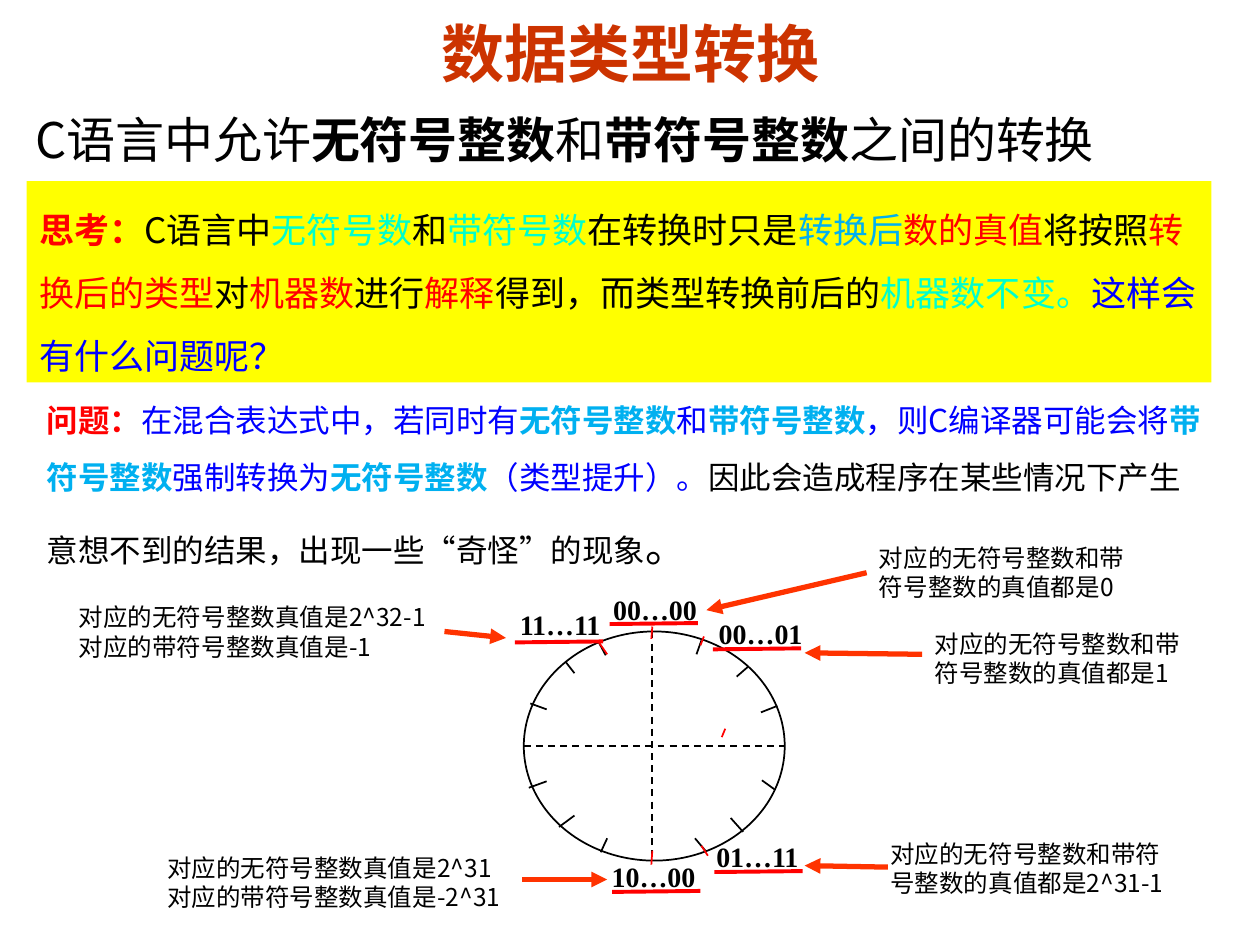
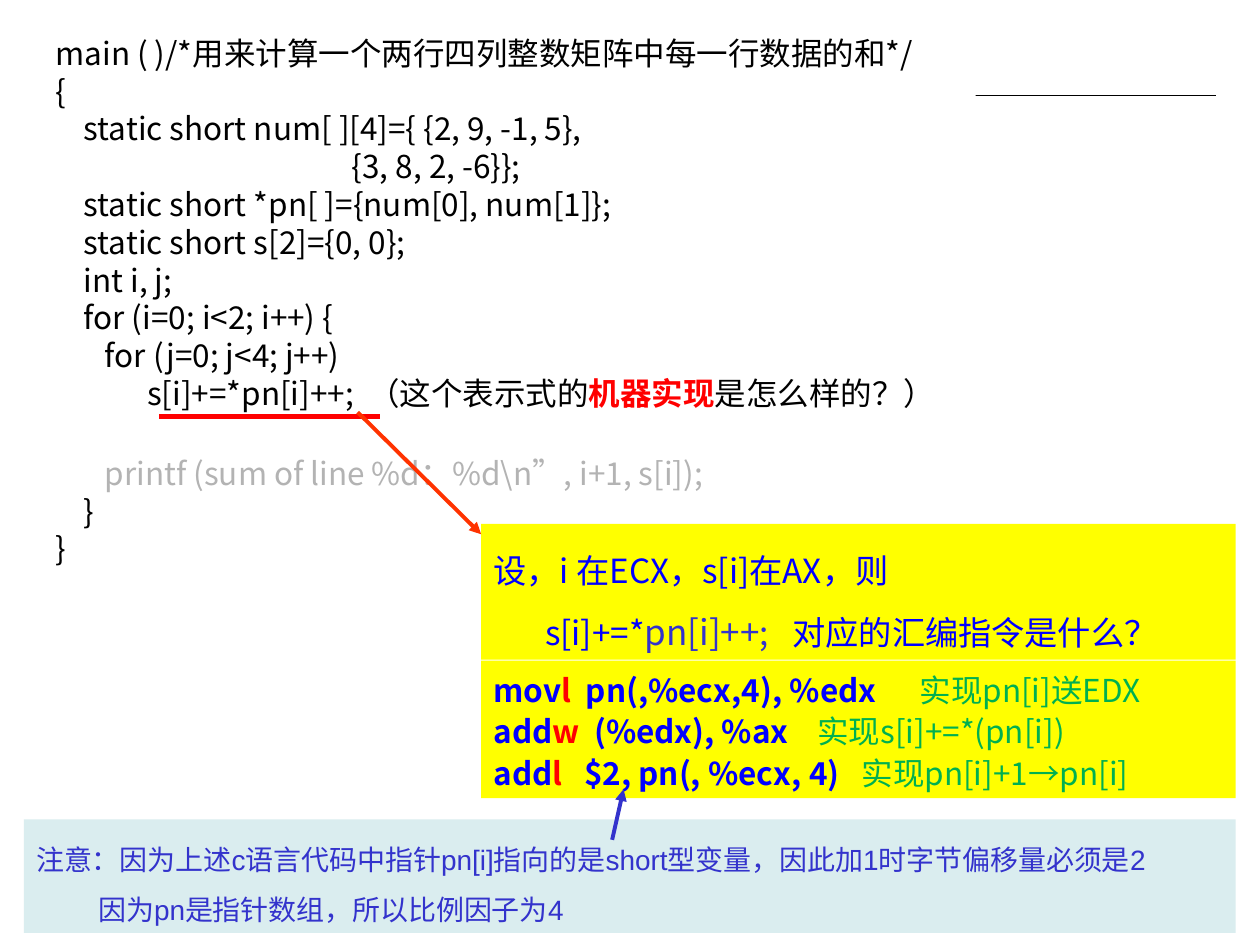
from lxml.etree import SubElement
from pptx import Presentation
from pptx.dml.color import RGBColor
from pptx.enum.dml import MSO_LINE_DASH_STYLE as Dash
from pptx.enum.shapes import MSO_CONNECTOR as Conn, MSO_SHAPE as Shape
from pptx.enum.text import MSO_ANCHOR as Anchor, PP_ALIGN as Align
from pptx.oxml.ns import qn
from pptx.util import Cm, Pt

COLORS = {
    "black": "000000", "white": "FFFFFF", "red": "FF0000", "title": "CC3300",
    "arrow": "FF3300", "blue": "0000FF", "sky": "00B0F0", "aqua": "00FFCC",
    "indigo": "3333CC", "green": "00B050", "gray": "B3B3B3",
    "yellow": "FFFF00", "pale": "DAEDEF",
}
SANS, SERIF, ARIAL = "Noto Sans CJK SC", "Times New Roman", "Arial"


def rgb(name):
    return RGBColor.from_string(COLORS[name])


def para(tf, runs, size=18, font=SANS, color="black", bold=False,
         spacing=1.0, before=0, align=Align.LEFT, tabs=()):
    """Add a paragraph; a run is a string or (text, color, bold, size)."""
    p = tf.paragraphs[0]
    if p.runs:
        p = tf.add_paragraph()
    if tabs:
        tab_list = SubElement(p._p.get_or_add_pPr(), qn("a:tabLst"))
        for pos in tabs:
            SubElement(tab_list, qn("a:tab"), pos=str(Cm(pos)), algn="l")
    p.alignment, p.line_spacing = align, spacing
    if before:
        p.space_before = Pt(before)
    for run in [runs] if isinstance(runs, str) else runs:
        run = (run,) if isinstance(run, str) else run
        text, r_color, r_bold, r_size = run + (color, bold, size)[len(run) - 1:]
        r = p.add_run()
        r.text = text
        r.font.size, r.font.bold, r.font.name = Pt(r_size), r_bold, font
        r.font.color.rgb = rgb(r_color)
        SubElement(r._r.get_or_add_rPr(), qn("a:ea"), typeface=SANS)


def box(s, x, y, w, h, fill=None, anchor=Anchor.TOP):
    """Add a text box, or a filled rectangle when a fill is given."""
    area = Cm(x), Cm(y), Cm(w), Cm(h)
    if fill:
        sp = s.shapes.add_shape(Shape.RECTANGLE, *area)
        sp.shadow.inherit = False
        sp.fill.solid()
        sp.fill.fore_color.rgb = rgb(fill)
        sp.line.fill.background()
    else:
        sp = s.shapes.add_textbox(*area)
    sp.text_frame.word_wrap = True
    sp.text_frame.vertical_anchor = anchor
    return sp


def line(s, x1, y1, x2, y2, color="black", width=1, dash=False, arrow=False):
    cx = s.shapes.add_connector(Conn.STRAIGHT, Cm(x1), Cm(y1), Cm(x2), Cm(y2))
    cx.line.color.rgb = rgb(color)
    cx.line.width = Pt(width)
    if dash:
        cx.line.dash_style = Dash.DASH
    if arrow:
        SubElement(cx.line._get_or_add_ln(), qn("a:tailEnd"), type="triangle")
    SubElement(cx._element.spPr, qn("a:effectLst"))
    return cx


# Tick marks on the dial, measured from its top left corner
TICKS = [
    (1.5, 0.2, 1.65, 0.48), (3.48, 0.46, 3.58, 0.18), (4.78, 1.63, 5.11, 1.5),
    (4.8, 3, 5.05, 3.18), (3.45, 4.17, 3.66, 4.42), (1.02, 3.71, 0.71, 3.94),
    (0.46, 3.02, 0.1, 3.15), (0.46, 1.57, 0.13, 1.45), (1.55, 4.45, 1.68, 4.17),
    (4.29, 0.91, 4.52, 0.71), (4.17, 3.76, 4.42, 4.04), (0.84, 0.61, 1.02, 0.84),
]
RED_TICKS = [
    (2.57, 4.7, 2.59, 4.42), (3.71, 4.52, 3.58, 4.32), (1.68, 0.46, 1.52, 0.23),
    (2.57, 0.15, 2.59, -0.1), (3.56, 0.28, 3.63, 0.1), (3.99, 2.13, 4.06, 1.96),
]
# Code, its place, underline start, note lines, note (x, y, width), arrow
CALLOUTS = [
    ("00…00", (1.55, -0.91), (1.73, -0.15), ["对应的无符号整数和带符号整数的真值都是0"],
     (6.91, -1.91, 5.84), (6.91, -1.18, 3.68, -0.43)),
    ("11…11", (-0.33, -0.61), (-0.18, 0.22),
     ["对应的无符号整数真值是2^32-1", "对应的带符号整数真值是-1"],
     (-9.22, -0.71, 8.84), (-1.6, 0, -0.36, 0.13)),
    ("00…01", (3.68, -0.43), (3.81, 0.36), ["对应的无符号整数和带符号整数的真值都是1"],
     (8.03, -0.18, 5.84), (8.03, 0.46, 5.66, 0.43)),
    ("10…00", (1.52, 4.47), (1.78, 5.25),
     ["对应的无符号整数真值是2^31", "对应的带符号整数真值是-2^31"],
     (-7.44, 4.34, 8.08), (-0.03, 5, 1.68, 5)),
    ("01…11", (3.63, 4.06), (3.84, 4.85), ["对应的无符号整数和带符号整数的真值都是2^31-1"],
     (7.14, 4.06, 6.27), (7.34, 4.75, 5.66, 4.72)),
]
LABEL_W, LABEL_H, NOTE_H = 2.5, 0.94, 1.45


def dial(s, x, y, w, h):
    """Number circle with axes and tick marks."""
    sp = s.shapes.add_shape(Shape.OVAL, Cm(x), Cm(y), Cm(w), Cm(h))
    sp.shadow.inherit = False
    sp.fill.background()
    sp.line.color.rgb = rgb("black")
    sp.line.width = Pt(1)
    line(s, x, y + h / 2, x + w, y + h / 2, dash=True)
    line(s, x + 2.59, y, x + 2.59, y + h, dash=True)
    for color, ticks in (("black", TICKS), ("red", RED_TICKS)):
        for x1, y1, x2, y2 in ticks:
            line(s, x + x1, y + y1, x + x2, y + y2, color)


def callout(s, x, y, code, place, underline, notes, note_area, arrow):
    """Machine code with underline, explained by a note with an arrow."""
    label = box(s, x + place[0], y + place[1], LABEL_W, LABEL_H)
    para(label.text_frame, code, size=16, font=SERIF, bold=True)
    ux, uy = x + underline[0], y + underline[1]
    line(s, ux, uy, ux + 1.78, uy - 0.02, "red", 2.25)
    nx, ny, nw = note_area
    note = box(s, x + nx, y + ny, nw, NOTE_H)
    for text in notes:
        para(note.text_frame, text, size=14)
    x1, y1, x2, y2 = arrow
    cx = line(s, x + x1, y + y1, x + x2, y + y2, "arrow", 3, arrow=True)
    if x1 == nx and abs(y1 - ny - NOTE_H / 2) < 0.02:
        cx.begin_connect(note, 1)


def title(s, text, x, y, w, h):
    sp = s.shapes.title
    sp.left, sp.top, sp.width, sp.height = Cm(x), Cm(y), Cm(w), Cm(h)
    sp.text_frame.vertical_anchor = Anchor.MIDDLE
    para(sp.text_frame, text, size=36, color="title", bold=True, align=Align.CENTER)


def statement(s, x, y, w, h):
    para(box(s, x, y, w, h).text_frame, [
        "C语言中允许", ("无符号整数", "black", True), "和",
        ("带符号整数", "black", True), "之间的转换"], size=28, spacing=1.5)


def thinking(s, x, y, w, h):
    para(box(s, x, y, w, h, "yellow").text_frame, [
        ("思考：", "red", True), "C语言中", ("无符号数", "aqua"), "和",
        ("带符号数", "aqua"), "在转换时只是", ("转换后", "sky"),
        ("数的真值", "red"), "将按照", ("转换后的类型", "red"), "对",
        ("机器数", "red"), "进行", ("解释", "red"), "得到，而类型转换前后的",
        ("机器数不变。", "aqua"), ("这样会有什么问题呢？", "blue")],
        size=20, spacing=1.5)


def problem(s, x, y, w, h):
    unsigned, signed = ("无符号整数", "sky", True), ("带符号整数", "sky", True)
    para(box(s, x, y, w, h).text_frame, [
        ("问题：", "red", True), "在混合表达式中，若同时有", unsigned, "和", signed,
        "，则C编译器可能会将", signed, "强制转换为", unsigned, "（类型提升）。",
        ("因此会造成程序在某些情况下产生意想不到的结果，出现一些“奇怪”的现象", "black"),
        ("。", "black", False, 24)], color="blue", spacing=1.5)


def conversion_slide(prs):
    s = prs.slides.add_slide(prs.slide_layouts[5])
    title(s, "数据类型转换", 1.27, 0.28, 22.86, 1.55)
    statement(s, 0.46, 1.5, 24.59, 2.1)
    thinking(s, 0.54, 3.65, 23.88, 4.06)
    problem(s, 0.69, 7.58, 23.95, 4.06)
    x, y = 10.56, 12.73
    dial(s, x, y, 5.26, 4.62)
    for parts in CALLOUTS:
        callout(s, x, y, *parts)


def code_listing(s, x, y, w, h):
    tf = box(s, x, y, w, h, "white", Anchor.MIDDLE).text_frame
    for text in (
        "main ( )/*用来计算一个两行四列整数矩阵中每一行数据的和*/",
        "{",
        "    static short num[ ][4]={ {2, 9, -1, 5},",
        "                                          {3, 8, 2, -6}};",
        "    static short *pn[ ]={num[0], num[1]};",
        "    static short s[2]={0, 0};",
        "    int i, j;",
        "    for (i=0; i<2; i++) {",
        "       for (j=0; j<4; j++)",
    ):
        para(tf, text)
    para(tf, ["             s[i]+=*pn[i]++;  （这个表示式的",
              ("机器实现", "red", True), "是怎么样的？）"])
    para(tf, "       printf (sum of line %d：%d\\n”, i+1, s[i]);",
         color="gray", before=24)
    para(tf, "    }")
    para(tf, "}")
    # Underlined statement
    line(s, x + 2.34, y + 7.85, x + 6.79, y + 7.85, "red", 3)


def question(s, x, y, w, h):
    tf = box(s, x, y, w, h, "yellow").text_frame
    para(tf, "设，i 在ECX，s[i]在AX，则", size=19, color="blue", spacing=1.5)
    para(tf, ["\ts[i]+=*", ("pn[i]++", "indigo", False, 20), (";\t", "indigo"),
              "对应的汇编指令是什么？"],
         size=19, color="blue", spacing=1.5, tabs=(1.04, 6.03))


def assembly(s, x, y, w, h):
    tf = box(s, x, y, w, h, "yellow").text_frame
    for op, suffix, args, remark, tab in (
        ("mov", "l", "  pn(,%ecx,4), %edx", "实现pn[i]送EDX", 8.59),
        ("add", "w", "  (%edx), %ax", "实现s[i]+=*(pn[i])", 6.53),
        ("add", "l", "   $2, pn(, %ecx, 4)", "实现pn[i]+1→pn[i]", 7.42),
    ):
        para(tf, [op, (suffix, "red"), args, ("\t" + remark, "green", False)],
             color="blue", bold=True, spacing=1.1, tabs=(tab,))


def remark_band(s, x, y, w, h):
    tf = box(s, x, y, w, h, "pale", Anchor.MIDDLE).text_frame
    for text in (
        "注意：因为上述c语言代码中指针pn[i]指向的是short型变量，因此加1时字节偏移量必须是2",
        "\t因为pn是指针数组，所以比例因子为4",
    ):
        para(tf, text, size=16, font=ARIAL, color="indigo", spacing=1.5, tabs=(1.25,))
    line(s, x + 11.86, y + 0.41, x + 12.09, y - 0.61, "indigo", 2.25, arrow=True)


def code_slide(prs):
    s = prs.slides.add_slide(prs.slide_layouts[6])
    line(s, 0.89, 1.93, 24.51, 1.93, width=0.75)  # header rule
    code_listing(s, 0.87, 0.55, 18.8, 11.02)
    question(s, 9.7, 10.56, 15.21, 2.74)
    assembly(s, 9.7, 13.32, 15.21, 2.77)
    remark_band(s, 0.48, 16.52, 24.43, 2.29)
    line(s, 7.21, 8.31, 9.7, 10.77, "arrow", 2.25, arrow=True)


def main():
    prs = Presentation()
    prs.slide_width, prs.slide_height = Cm(25.4), Cm(19.05)
    conversion_slide(prs)
    code_slide(prs)
    prs.save("out.pptx")


if __name__ == "__main__":
    main()
